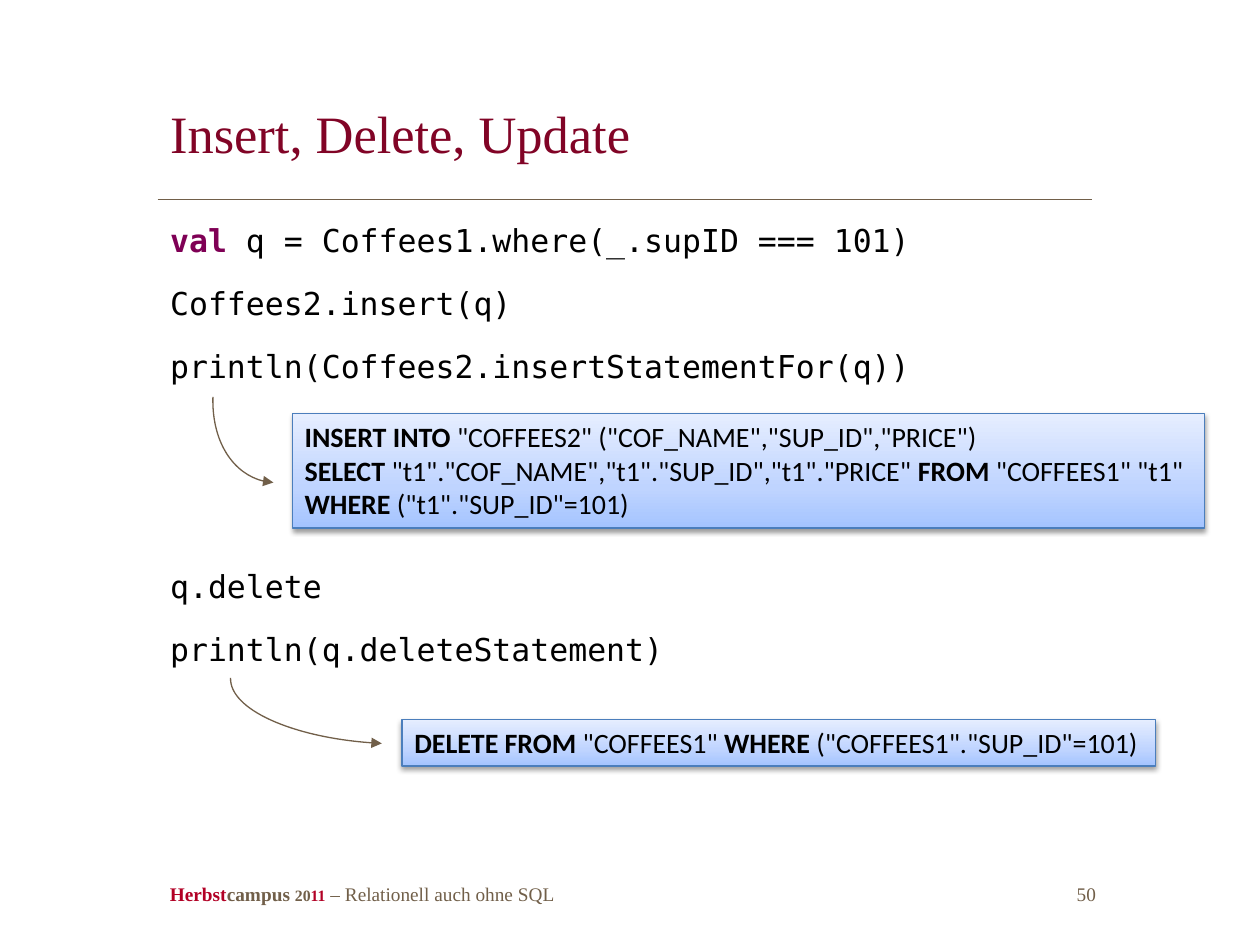
from lxml import etree
from pptx import Presentation
from pptx.dml.color import RGBColor
from pptx.enum.shapes import MSO_CONNECTOR, MSO_SHAPE
from pptx.enum.text import MSO_ANCHOR, MSO_AUTO_SIZE, PP_ALIGN
from pptx.oxml.ns import qn
from pptx.util import Inches, Pt

LEFT, TOP, MIDDLE = PP_ALIGN.LEFT, MSO_ANCHOR.TOP, MSO_ANCHOR.MIDDLE
NO_FIT = MSO_AUTO_SIZE.NONE
RECTANGLE, STRAIGHT = MSO_SHAPE.RECTANGLE, MSO_CONNECTOR.STRAIGHT

COLORS = {
    "title": "810426", "accent": "B20025", "muted": "715F49",
    "keyword": "7F0055", "text": "000000", "border": "4B7EBC",
}
CALLOUT_STOPS = [(0, "A4C4FF"), (35, "BFD4FF"), (100, "E6EEFF")]
SERIF, MONO, SANS = "Times New Roman", "DejaVu Sans Mono", "Calibri"


def rgb(name):
    return RGBColor.from_string(COLORS[name])


def add_xml(parent, tag, **attributes):
    return etree.SubElement(parent, qn(tag), attributes)


class SlideBuilder:
    def __init__(self, presentation):
        self.slide = presentation.slides.add_slide(presentation.slide_layouts[1])
        self.shapes = self.slide.shapes

    def place(self, shape, left, top, width, height):
        shape.left, shape.top = Inches(left), Inches(top)
        shape.width, shape.height = Inches(width), Inches(height)

    def setup_frame(self, frame, anchor=TOP):
        frame.word_wrap = True
        frame.auto_size = NO_FIT
        frame.vertical_anchor = anchor

    def add_run(self, paragraph, text, font, size, color, bold=False):
        run = paragraph.add_run()
        run.text = text
        run.font.name, run.font.size, run.font.bold = font, Pt(size), bold
        run.font.color.rgb = rgb(color)

    def paragraphs(self, frame, count):
        return [frame.paragraphs[0]] + [frame.add_paragraph() for _ in range(count - 1)]

    def title(self, text, box):
        title = self.shapes.title
        self.place(title, *box)
        self.setup_frame(title.text_frame, MIDDLE)
        paragraph = title.text_frame.paragraphs[0]
        paragraph.alignment, paragraph.line_spacing = LEFT, Pt(32)
        self.add_run(paragraph, text, SERIF, 30, "title")

    def code(self, lines, box):
        body = self.slide.placeholders[1]
        self.place(body, *box)
        self.setup_frame(body.text_frame)
        for paragraph, (gap, runs) in zip(self.paragraphs(body.text_frame, len(lines)), lines):
            properties = paragraph._p.get_or_add_pPr()
            properties.set("marL", "0")
            properties.set("indent", "0")
            add_xml(properties, "a:buNone")
            paragraph.line_spacing, paragraph.space_before = Pt(18), Pt(gap)
            for text, is_keyword in runs:
                color = "keyword" if is_keyword else "text"
                self.add_run(paragraph, text, MONO, 18, color, is_keyword)

    def rule(self, left, top, right):
        rule = self.shapes.add_connector(
            STRAIGHT, Inches(left), Inches(top), Inches(right), Inches(top))
        rule.line.color.rgb, rule.line.width = rgb("muted"), Pt(0.25)
        add_xml(rule._element.spPr, "a:effectLst")

    def callout(self, lines, box):
        callout = self.shapes.add_shape(RECTANGLE, *map(Inches, box))
        callout.fill.gradient()
        callout.fill.gradient_angle = 90
        properties = callout._element.spPr
        stops = properties.find(".//" + qn("a:gsLst"))
        stops.clear()
        for position, color in CALLOUT_STOPS:
            stop = add_xml(stops, "a:gs", pos=str(position * 1000))
            add_xml(stop, "a:srgbClr", val=color)
        callout.line.color.rgb, callout.line.width = rgb("border"), Pt(0.75)
        callout.shadow.inherit = False
        shadow = add_xml(properties.find(qn("a:effectLst")), "a:outerShdw",
                         blurRad=str(Pt(3.1)), dist=str(Pt(1.6)),
                         dir="5400000", rotWithShape="0")
        add_xml(add_xml(shadow, "a:srgbClr", val=COLORS["text"]), "a:alpha", val="38000")
        self.setup_frame(callout.text_frame)
        for paragraph, runs in zip(self.paragraphs(callout.text_frame, len(lines)), lines):
            paragraph.alignment = LEFT
            for text, is_keyword in runs:
                self.add_run(paragraph, text, SANS, 16, "text", is_keyword)

    def curved_arrow(self, start, *curve):
        builder = self.shapes.build_freeform(*map(Inches, start))
        builder.add_line_segments([(Inches(x), Inches(y)) for x, y in curve], close=False)
        arrow = builder.convert_to_shape()
        outline = arrow._element.spPr.find(".//" + qn("a:path"))
        segments = outline.findall(qn("a:lnTo"))
        bezier = add_xml(outline, "a:cubicBezTo")
        for segment in segments:
            bezier.append(segment[0])
            outline.remove(segment)
        arrow.fill.background()
        arrow.shadow.inherit = False
        arrow.line.color.rgb, arrow.line.width = rgb("muted"), Pt(0.75)
        add_xml(arrow.line._get_or_add_ln(), "a:tailEnd", type="triangle")

    def footer(self, runs, box, tab):
        footer = self.shapes.add_textbox(*map(Inches, box))
        self.setup_frame(footer.text_frame)
        paragraph = footer.text_frame.paragraphs[0]
        tabs = add_xml(paragraph._p.get_or_add_pPr(), "a:tabLst")
        add_xml(tabs, "a:tab", pos=str(Inches(tab)), algn="r")
        for text, size, color, bold in runs:
            self.add_run(paragraph, text, SERIF, size, color, bold)


def main():
    presentation = Presentation()
    presentation.slide_width, presentation.slide_height = Inches(10), Inches(7.5)
    builder = SlideBuilder(presentation)

    builder.footer([
        ("Herbst", 11, "accent", True),
        ("campus ", 11, "muted", True),
        ("20", 9, "muted", True),
        ("11", 9, "accent", True),
        (" – Relationell auch ohne SQL\t50", 11, "muted", False),
    ], (1.25, 6.95, 7.58, 0.29), tab=7.35)
    builder.title("Insert, Delete, Update", (1.25, 0.58, 7.42, 1))
    builder.code([
        (0, [("val ", True), ("q = Coffees1.where(_.supID === 101)", False)]),
        (18, [("Coffees2.insert(q)", False)]),
        (18, [("println(Coffees2.insertStatementFor(q))", False)]),
        (108, [("q.delete", False)]),
        (18, [("println(q.deleteStatement)", False)]),
    ], (1.25, 1.75, 7.69, 4.95))
    builder.rule(1.25, 1.58, 8.67)

    builder.callout([
        [("INSERT INTO ", True), ('"COFFEES2" ("COF_NAME","SUP_ID","PRICE")', False)],
        [("SELECT ", True), ('"t1"."COF_NAME","t1"."SUP_ID","t1"."PRICE" ', False),
         ("FROM ", True), ('"COFFEES1" "t1"', False)],
        [("WHERE ", True), ('("t1"."SUP_ID"=101)', False)],
    ], (2.32, 3.28, 7.24, 0.91))
    builder.curved_arrow((1.69, 3.15), (1.68, 3.51), (1.89, 3.82), (2.17, 3.83))

    builder.callout([
        [("DELETE FROM", True), (' "COFFEES1" ', False),
         ("WHERE", True), (' ("COFFEES1"."SUP_ID"=101)', False)],
    ], (3.19, 5.71, 5.98, 0.37))
    builder.curved_arrow((1.83, 5.38), (1.82, 5.63), (2.36, 5.87), (3.03, 5.9))

    presentation.save("out.pptx")


if __name__ == "__main__":
    main()
